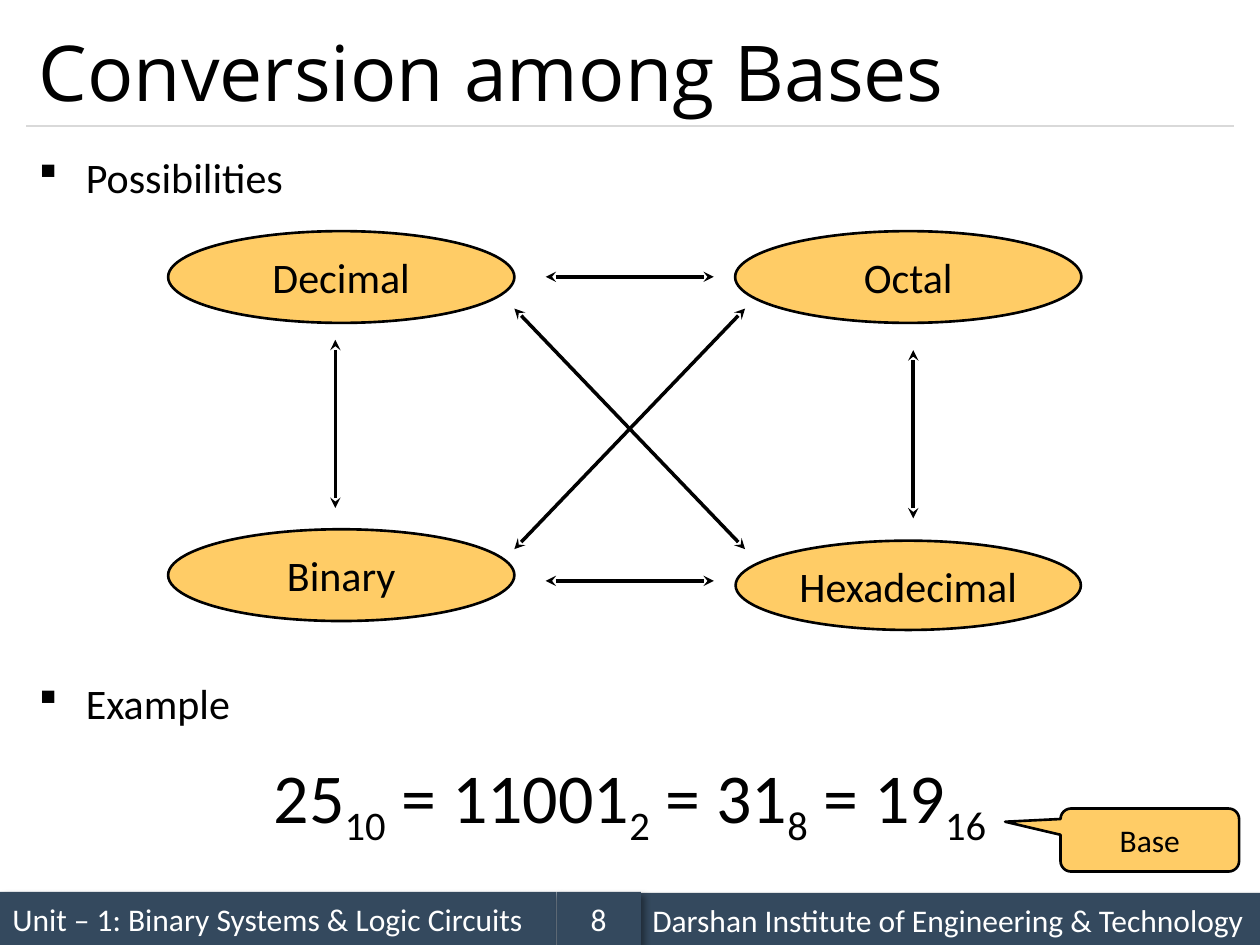
from lxml import etree
from pptx import Presentation
from pptx.dml.color import RGBColor
from pptx.enum.shapes import MSO_CONNECTOR, MSO_SHAPE
from pptx.enum.text import MSO_ANCHOR, PP_ALIGN
from pptx.oxml import parse_xml
from pptx.oxml.ns import nsdecls, qn
from pptx.util import Cm, Pt

LEFT, CENTER = PP_ALIGN.LEFT, PP_ALIGN.CENTER
MIDDLE, TOP = MSO_ANCHOR.MIDDLE, MSO_ANCHOR.TOP
RECT, OVAL = MSO_SHAPE.RECTANGLE, MSO_SHAPE.OVAL
CALLOUT = MSO_SHAPE.ROUNDED_RECTANGULAR_CALLOUT
STRAIGHT = MSO_CONNECTOR.STRAIGHT
COLORS = {name: RGBColor.from_string(value) for name, value in {
    "bar": "34495E", "rule": "D9D9D9", "node": "FFCC66",
    "ink": "000000", "white": "FFFFFF"}.items()}


def write(shape, text, size, color="ink", align=CENTER, anchor=MIDDLE, font="Calibri"):
    frame = shape.text_frame
    frame.word_wrap = True
    frame.vertical_anchor = anchor
    frame.text = text
    paragraph = frame.paragraphs[0]
    paragraph.alignment = align
    for run in paragraph.runs:
        run.font.size, run.font.name = Pt(size), font
        run.font.color.rgb = COLORS[color]
    return paragraph


def add_line(x1, y1, x2, y2, color, width):
    line = slide.shapes.add_connector(STRAIGHT, Cm(x1), Cm(y1), Cm(x2), Cm(y2))
    line.line.color.rgb, line.line.width = COLORS[color], Pt(width)
    etree.SubElement(line._element.spPr, qn("a:effectLst"))
    return line


prs = Presentation()
prs.slide_width, prs.slide_height = Cm(25.4), Cm(19.05)
slide = prs.slides.add_slide(prs.slide_layouts[5])

# Footer bars
for left, top, width, text, align in [
    (0, 17.98, 11.22, "Unit – 1: Binary Systems & Logic Circuits", LEFT),
    (12.9, 18, 12.5, "Darshan Institute of Engineering & Technology", LEFT),
    (11.22, 17.98, 1.7, "8", CENTER),
]:
    bar = slide.shapes.add_shape(RECT, Cm(left), Cm(top), Cm(width), Cm(1.07))
    bar.fill.solid()
    bar.fill.fore_color.rgb = COLORS["bar"]
    bar.line.fill.background()
    bar._element.spPr.append(parse_xml(
        f'<a:effectLst {nsdecls("a")}><a:outerShdw blurRad="50800" dist="38100" dir="2700000">'
        '<a:srgbClr val="000000"><a:alpha val="40000"/></a:srgbClr></a:outerShdw></a:effectLst>'))
    write(bar, text, 18, "white", align)

# Title and rule
title = slide.shapes.title
title.left, title.top, title.width, title.height = Cm(0.53), Cm(0.3), Cm(24.34), Cm(2.24)
write(title, "Conversion among Bases", 44, align=LEFT, font="Open Sans")
add_line(0.53, 2.54, 24.87, 2.54, "rule", 0.75)

# Bulleted headings
for top, text in [(2.92, "Possibilities"), (13.54, "Example")]:
    heading = slide.shapes.add_textbox(Cm(0.53), Cm(top), Cm(24.34), Cm(1.3))
    properties = write(heading, text, 24, align=LEFT, anchor=TOP)._p.get_or_add_pPr()
    properties.set("marL", str(Cm(0.95)))
    properties.set("indent", str(-Cm(0.95)))
    etree.SubElement(properties, qn("a:buFont")).set("typeface", "Wingdings")
    etree.SubElement(properties, qn("a:buChar")).set("char", "§")

# Number bases and callout
for kind, left, top, width, height, text, size in [
    (OVAL, 14.83, 10.9, 6.96, 1.8, "Hexadecimal", 24),
    (OVAL, 3.39, 4.66, 6.98, 1.85, "Decimal", 24),
    (OVAL, 14.82, 4.66, 6.98, 1.85, "Octal", 24),
    (OVAL, 3.39, 10.67, 6.98, 1.85, "Binary", 24),
    (CALLOUT, 21.38, 16.3, 3.6, 1.27, "Base", 18),
]:
    node = slide.shapes.add_shape(kind, Cm(left), Cm(top), Cm(width), Cm(height))
    node.shadow.inherit = False
    node.fill.solid()
    node.fill.fore_color.rgb = COLORS["node"]
    node.line.color.rgb, node.line.width = COLORS["ink"], Pt(1.5)
    if kind == CALLOUT:
        node.adjustments[0], node.adjustments[1] = -0.81, -0.29
    write(node, text, size)

# Two-way conversion arrows
for ends in [
    (10.37, 11.07, 15.02, 6.22), (15.02, 11.07, 10.37, 6.22),
    (18.41, 10.45, 18.41, 7.06), (6.76, 10.24, 6.76, 6.85),
    (11, 5.58, 14.39, 5.58), (11, 11.71, 14.39, 11.71),
]:
    outline = add_line(*ends, "ink", 2).line._get_or_add_ln()
    for end in ("a:headEnd", "a:tailEnd"):
        etree.SubElement(outline, qn(end)).set("type", "stealth")

# Worked example: each number is followed by its base as a subscript
example = slide.shapes.add_textbox(Cm(3.39), Cm(15.06), Cm(18.62), Cm(1.96))
equation = write(example, "", 40, anchor=TOP)
for number, base in [("25", "10"), (" = 11001", "2"), (" = 31", "8"), (" = 19", "16")]:
    for text, offset in [(number, 0), (base, -25000)]:
        run = equation.add_run()
        run.text = text
        run.font.size, run.font.name = Pt(40), "Calibri"
        run.font.color.rgb = COLORS["ink"]
        run._r.get_or_add_rPr().set("baseline", str(offset))

prs.save("out.pptx")
